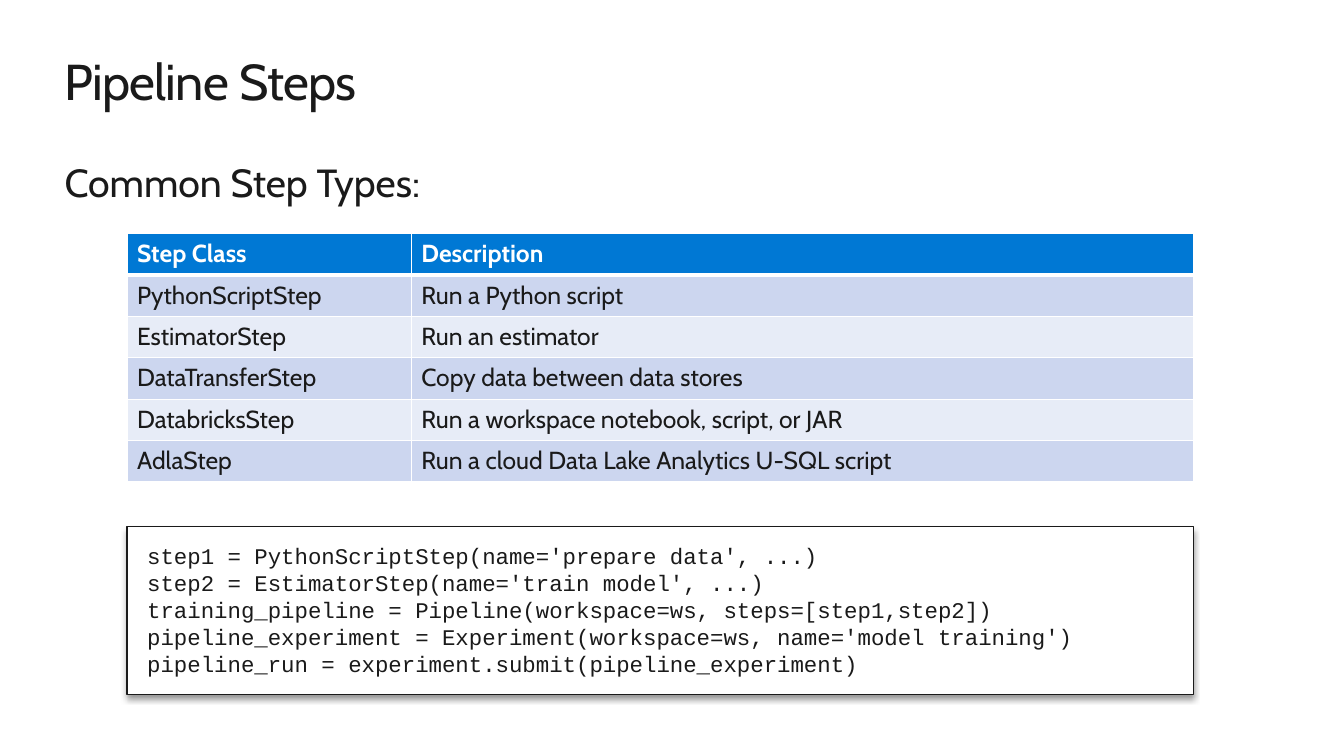
"""Build the Pipeline Steps slide with a table of step classes and a code sample."""
from lxml import etree
from pptx import Presentation
from pptx.dml.color import RGBColor
from pptx.enum.shapes import MSO_SHAPE
from pptx.enum.text import MSO_ANCHOR, PP_ALIGN
from pptx.oxml import parse_xml
from pptx.oxml.ns import nsdecls, qn
from pptx.util import Inches, Pt

RECTANGLE = MSO_SHAPE.RECTANGLE
TOP = MSO_ANCHOR.TOP
LEFT = PP_ALIGN.LEFT

STEP_ROWS = [
    ("Step Class", "Description"),
    ("PythonScriptStep", "Run a Python script"),
    ("EstimatorStep", "Run an estimator"),
    ("DataTransferStep", "Copy data between data stores"),
    ("DatabricksStep", "Run a workspace notebook, script, or JAR"),
    ("AdlaStep", "Run a cloud Data Lake Analytics U-SQL script"),
]
CODE_LINES = [
    "step1 = PythonScriptStep(name='prepare data', ...)",
    "step2 = EstimatorStep(name='train model', ...)",
    "training_pipeline = Pipeline(workspace=ws, steps=[step1,step2])",
    "pipeline_experiment = Experiment(workspace=ws, name='model training')",
    "pipeline_run = experiment.submit(pipeline_experiment)",
]


def color(value):
    """Turn a hex string into a colour."""
    return RGBColor.from_string(value)


class SlideBuilder:
    """Hold the style and the current slide."""

    text_font, code_font = "Cabin", "Courier New"
    ink, white, header_blue = "1A1A1A", "FFFFFF", "0078D4"
    bands = ("CCD6EF", "E7ECF7")

    def __init__(self, slide):
        """Keep the slide that is being built."""
        self.slide = slide

    def set_text(self, frame, lines, size, font=text_font, ink=ink, bold=False):
        """Fill a text frame with one paragraph per line."""
        frame.text = "\n".join(lines)
        for paragraph in frame.paragraphs:
            paragraph.alignment = LEFT
            paragraph.font.name = font
            paragraph.font.size = Pt(size)
            paragraph.font.bold = bold
            paragraph.font.color.rgb = color(ink)

    def frame(self, shape, horizontal=0, vertical=0):
        """Set wrapping, anchor and margins of a shape's text frame."""
        frame = shape.text_frame
        frame.word_wrap = True
        frame.vertical_anchor = TOP
        frame.margin_left = frame.margin_right = Inches(horizontal)
        frame.margin_top = frame.margin_bottom = Inches(vertical)
        return frame

    def title(self, text, left, top, width, height):
        """Place and format the title placeholder."""
        shape = self.slide.shapes.title
        shape.left, shape.top = Inches(left), Inches(top)
        shape.width, shape.height = Inches(width), Inches(height)
        frame = self.frame(shape)
        self.set_text(frame, [text], 36)
        run = frame.paragraphs[0].runs[0]
        run._r.get_or_add_rPr().set("spc", "-50")

    def subtitle(self, text, left, top, width, height):
        """Add a line of introductory text."""
        shape = self.slide.shapes.add_textbox(
            Inches(left), Inches(top), Inches(width), Inches(height))
        self.set_text(self.frame(shape), [text], 28)

    def border(self, cell, top, bottom):
        """Draw white cell borders with the given top and bottom widths."""
        properties = cell._tc.get_or_add_tcPr()
        widths = {"lnL": 1, "lnR": 1, "lnT": top, "lnB": bottom}
        for position, (side, width) in enumerate(widths.items()):
            line = etree.Element(qn(f"a:{side}"), w=str(Pt(width)))
            fill = etree.SubElement(line, qn("a:solidFill"))
            etree.SubElement(fill, qn("a:srgbClr"), val=self.white)
            properties.insert(position, line)

    def table(self, rows, left, top, column_widths, row_height):
        """Add a table with a blue header and banded rows."""
        table = self.slide.shapes.add_table(
            len(rows), len(column_widths), Inches(left), Inches(top),
            Inches(sum(column_widths)), Inches(row_height * len(rows))).table
        for column, width in zip(table.columns, column_widths):
            column.width = Inches(width)
        for row_index, row in enumerate(rows):
            table.rows[row_index].height = Inches(row_height)
            header = row_index == 0
            fill = self.header_blue if header else self.bands[(row_index - 1) % 2]
            for column_index, text in enumerate(row):
                cell = table.cell(row_index, column_index)
                cell.fill.solid()
                cell.fill.fore_color.rgb = color(fill)
                self.border(cell, 3 if row_index == 1 else 1, 3 if header else 1)
                self.set_text(cell.text_frame, [text], 17.6,
                              ink=self.white if header else self.ink, bold=header)

    def code_box(self, lines, left, top, width, height):
        """Add a white code panel with a soft shadow below it."""
        shape = self.slide.shapes.add_shape(
            RECTANGLE, Inches(left), Inches(top), Inches(width), Inches(height))
        shape.fill.solid()
        shape.fill.fore_color.rgb = color(self.white)
        shape.line.color.rgb = color(self.ink)
        shape.line.width = Pt(0.85)
        shape.shadow.inherit = False
        effects = shape._element.spPr.find(qn("a:effectLst"))
        effects.append(parse_xml(
            f'<a:outerShdw {nsdecls("a")} blurRad="{Pt(4)}" dist="{Pt(3)}" '
            'dir="5400000" algn="t" rotWithShape="0"><a:srgbClr val="000000">'
            '<a:alpha val="40000"/></a:srgbClr></a:outerShdw>'))
        self.set_text(self.frame(shape, 0.2, 0.16), lines, 16, font=self.code_font)


def main():
    """Build and save the presentation."""
    presentation = Presentation()
    presentation.slide_width = Inches(13.33)
    presentation.slide_height = Inches(7.5)
    builder = SlideBuilder(
        presentation.slides.add_slide(presentation.slide_layouts[5]))
    builder.title("Pipeline Steps", 0.64, 0.5, 12.05, 0.61)
    builder.subtitle("Common Step Types:", 0.64, 1.57, 12.05, 0.47)
    builder.table(STEP_ROWS, 1.26, 2.32, (2.82, 7.76), 0.41)
    builder.code_box(CODE_LINES, 1.26, 5.22, 10.58, 1.67)
    presentation.save("out.pptx")


if __name__ == "__main__":
    main()
